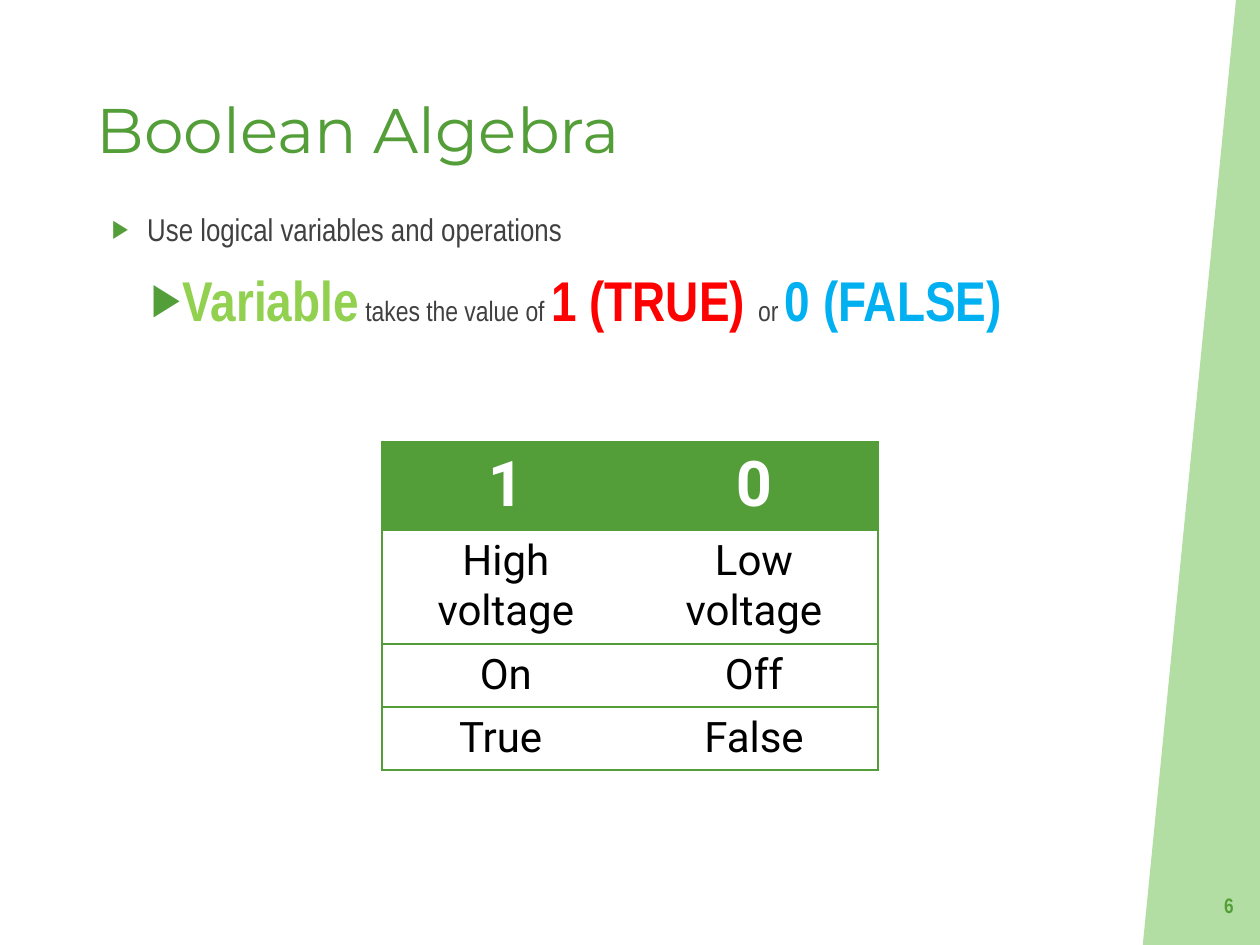
from lxml import etree
from pptx import Presentation
from pptx.dml.color import RGBColor
from pptx.enum.text import MSO_ANCHOR, PP_ALIGN
from pptx.oxml.ns import qn
from pptx.util import Inches, Pt

GREEN = "549E39"
GREY = "404040"
NARROW = "Arial Narrow"


def rgb(value):
    return RGBColor.from_string(value)


def add_child(parent, tag, **attributes):
    return etree.SubElement(parent, qn(tag), attributes)


def add_span(para, text, size, color, font=NARROW, bold=False):
    span = para.add_run()
    span.text = text
    formats = {"size": Pt(size), "name": font, "bold": bold}
    for name, value in formats.items():
        setattr(span.font, name, value)
    span.font.color.rgb = rgb(color)


def add_text_frame(page, box, anchor=MSO_ANCHOR.TOP):
    frame = page.shapes.add_textbox(*map(Inches, box)).text_frame
    frame.word_wrap = True
    frame.vertical_anchor = anchor
    return frame


def add_bullet(para, margin, indent):
    properties = para._p.get_or_add_pPr()
    properties.set("marL", str(Inches(margin)))
    properties.set("indent", str(Inches(indent)))
    color = add_child(properties, "a:buClr")
    add_child(color, "a:srgbClr", val=GREEN)
    add_child(properties, "a:buSzPct", val="80000")
    add_child(properties, "a:buFont", typeface="Arial")
    add_child(properties, "a:buChar", char="▶")


def set_borders(cell, sides):
    """Draw the given sides in green and clear the others."""
    properties = cell._tc.get_or_add_tcPr()
    for position, side in enumerate("LRTB"):
        line = etree.Element(qn(f"a:ln{side}"), w=str(Pt(1)))
        if side in sides:
            fill = add_child(line, "a:solidFill")
            add_child(fill, "a:srgbClr", val=GREEN)
        else:
            add_child(line, "a:noFill")
        properties.insert(position, line)


def draw_side_band(page, box):
    left, top, width, height = box
    right, bottom = left + width, top + height
    builder = page.shapes.build_freeform(
        Inches(right - 0.19), Inches(top), scale=1.0)
    corners = [(left, bottom), (right, bottom), (right, top)]
    builder.add_line_segments([(Inches(x), Inches(y)) for x, y in corners])
    band = builder.convert_to_shape()
    band.shadow.inherit = False
    band.fill.solid()
    band.fill.fore_color.rgb = rgb("93D07D")
    band.line.fill.background()
    color = band._element.spPr.find(f"{qn('a:solidFill')}/{qn('a:srgbClr')}")
    add_child(color, "a:alpha", val="70000")


def draw_title(page, box):
    para = add_text_frame(page, box).paragraphs[0]
    add_span(para, "Boolean Algebra", 36, GREEN, "Montserrat")


def draw_body(page, box):
    frame = add_text_frame(page, box)
    para = frame.paragraphs[0]
    add_bullet(para, 0.4, -0.28)
    add_span(para, "Use logical variables and operations", 18, GREY)

    para = frame.add_paragraph()
    para.level = 1
    para.space_before = Pt(10)
    add_bullet(para, 0.68, -0.25)
    spans = [
        ("Variable", "92D050"),
        (" takes the value of ", GREY),
        ("1 (TRUE) ", "FF0000"),
        ("or ", GREY),
        ("0 (FALSE)", "00B0F0"),
    ]
    for text, color in spans:
        strong = color != GREY
        add_span(para, text, 32 if strong else 16, color, bold=strong)


def draw_value_table(page, box):
    rows = [("1", "0"), ("High voltage", "Low voltage"),
            ("On", "Off"), ("True ", "False")]
    table = page.shapes.add_table(len(rows), 2, *map(Inches, box)).table
    table.horz_banding = False
    for row, texts in enumerate(rows):
        header = row == 0
        for column, text in enumerate(texts):
            cell = table.cell(row, column)
            if header:
                cell.fill.solid()
                cell.fill.fore_color.rgb = rgb(GREEN)
            else:
                cell.fill.background()
            set_borders(cell, "TB" + "LR"[column])
            para = cell.text_frame.paragraphs[0]
            para.alignment = PP_ALIGN.CENTER
            add_span(para, text, 36 if header else 24,
                     "FFFFFF" if header else "000000", "Roboto", header)


def draw_page_number(page, box):
    para = add_text_frame(page, box, MSO_ANCHOR.MIDDLE).paragraphs[0]
    para.alignment = PP_ALIGN.RIGHT
    add_span(para, "6", 12, GREEN, bold=True)


def main():
    deck = Presentation()
    deck.slide_width, deck.slide_height = Inches(10), Inches(7.5)
    page = deck.slides.add_slide(deck.slide_layouts[6])
    draw_side_band(page, (9.07, 0, 0.93, 7.5))
    draw_title(page, (0.67, 0.67, 8.41, 0.8))
    draw_body(page, (0.67, 1.62, 8.41, 4.98))
    draw_value_table(page, (3.03, 3.51, 3.94, 1.64))
    draw_page_number(page, (9.33, 6.98, 0.56, 0.4))
    deck.save("out.pptx")


if __name__ == "__main__":
    main()
